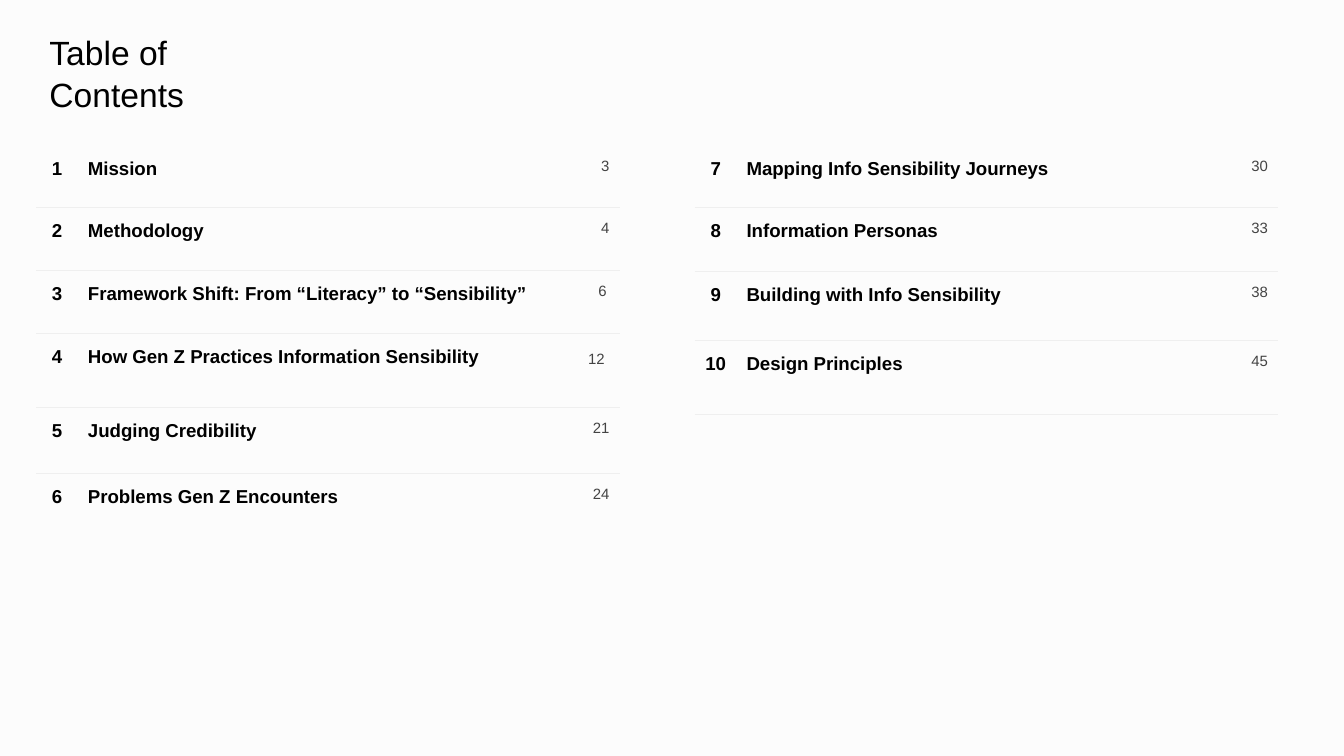
from lxml.etree import SubElement
from pptx import Presentation
from pptx.dml.color import RGBColor as RGB
from pptx.enum.text import PP_ALIGN as Align
from pptx.oxml.ns import qn
from pptx.util import Inches, Pt

INK = {"back": "FCFCFC", "text": "000000", "page": "434343", "rule": "EFEFEF"}
FONT = "Arial"
WIDE = 1000  # the slide is a grid of 1000 units across
HIGH = WIDE * 9 / 16
COLS = (31, 361, 42)  # number, topic, page
PAD = 7.5

# Topic, page, row height, page inset at the right and the top
LEFT = [
    ("Mission", 3, 46.5, PAD, PAD),
    ("Methodology", 4, 47, PAD, PAD),
    ("Framework Shift: From “Literacy” to “Sensibility”", 6, 47, 9.5, PAD),
    ("How Gen Z Practices Information Sensibility", 12, 55, 11, 10.5),
    ("Judging Credibility", 21, 49, PAD, PAD),
    ("Problems Gen Z Encounters", 24, 55, PAD, PAD),
]
RIGHT = [
    ("Mapping Info Sensibility Journeys", 30, 46.5, PAD, PAD),
    ("Information Personas", 33, 47.5, PAD, PAD),
    ("Building with Info Sensibility", 38, 51.5, PAD, PAD),
    ("Design Principles", 45, 55, PAD, PAD),
]


def grid(units):
    return Inches(units / 100)


def style(par, size, ink, bold=False, align=Align.LEFT, lead=1.15):
    par.alignment, par.line_spacing = align, lead
    font = par.font
    font.name, font.size, font.bold = FONT, Pt(size), bold
    font.color.rgb = RGB.from_string(INK[ink])


def border(cell, sides):
    """Rule the given sides of a cell and clear the others."""
    props = cell._tc.get_or_add_tcPr()
    for side in "LRTB":
        line = SubElement(props, qn(f"a:ln{side}"), w=str(Pt(0.75)))
        if side in sides:
            fill = SubElement(line, qn("a:solidFill"))
            SubElement(fill, qn("a:srgbClr"), val=INK["rule"])
        else:
            SubElement(line, qn("a:noFill"))
    cell.fill.background()


def title(slide, box):
    frame = slide.shapes.add_textbox(*map(grid, box)).text_frame
    frame.word_wrap = True
    frame.margin_left = frame.margin_right = grid(10)
    frame.margin_top = frame.margin_bottom = grid(8)
    par = frame.paragraphs[0]
    par.text = "Table of \vContents"
    style(par, 18, "text", lead=1.05)


def listing(slide, left, top, rows, first, close):
    """Place one column of topics; close rules off its last row."""
    tall = sum(row[2] for row in rows)
    box = (left, top, sum(COLS), tall)
    table = slide.shapes.add_table(
        len(rows), len(COLS), *map(grid, box)).table
    table.first_row = table.horz_banding = False
    for col, width in zip(table.columns, COLS):
        col.width = grid(width)

    for i, (topic, page, height, inset, drop) in enumerate(rows):
        table.rows[i].height = grid(height)
        sides = "T" if i else ""
        if close or i < len(rows) - 1:
            sides += "B"
        parts = [
            (first + i, 10, "text", True, Align.CENTER, PAD, PAD),
            (topic, 10, "text", True, Align.LEFT, PAD, PAD),
            (page, 8, "page", False, Align.RIGHT, inset, drop),
        ]
        for j, (text, size, ink, bold, align, right, above) in enumerate(parts):
            cell = table.cell(i, j)
            cell.margin_left = cell.margin_bottom = grid(PAD)
            cell.margin_right, cell.margin_top = grid(right), grid(above)
            cell.text = str(text)
            style(cell.text_frame.paragraphs[0], size, ink, bold, align)
            border(cell, sides)


def main():
    deck = Presentation()
    deck.slide_width, deck.slide_height = grid(WIDE), grid(HIGH)
    slide = deck.slides.add_slide(deck.slide_layouts[6])
    fill = slide.background.fill
    fill.solid()
    fill.fore_color.rgb = RGB.from_string(INK["back"])

    # Heading, then the two columns of topics
    title(slide, (27, 14, 307, 83))
    listing(slide, 27, 108, LEFT, 1, close=False)
    listing(slide, 517, 108, RIGHT, len(LEFT) + 1, close=True)
    deck.save("out.pptx")


if __name__ == "__main__":
    main()
